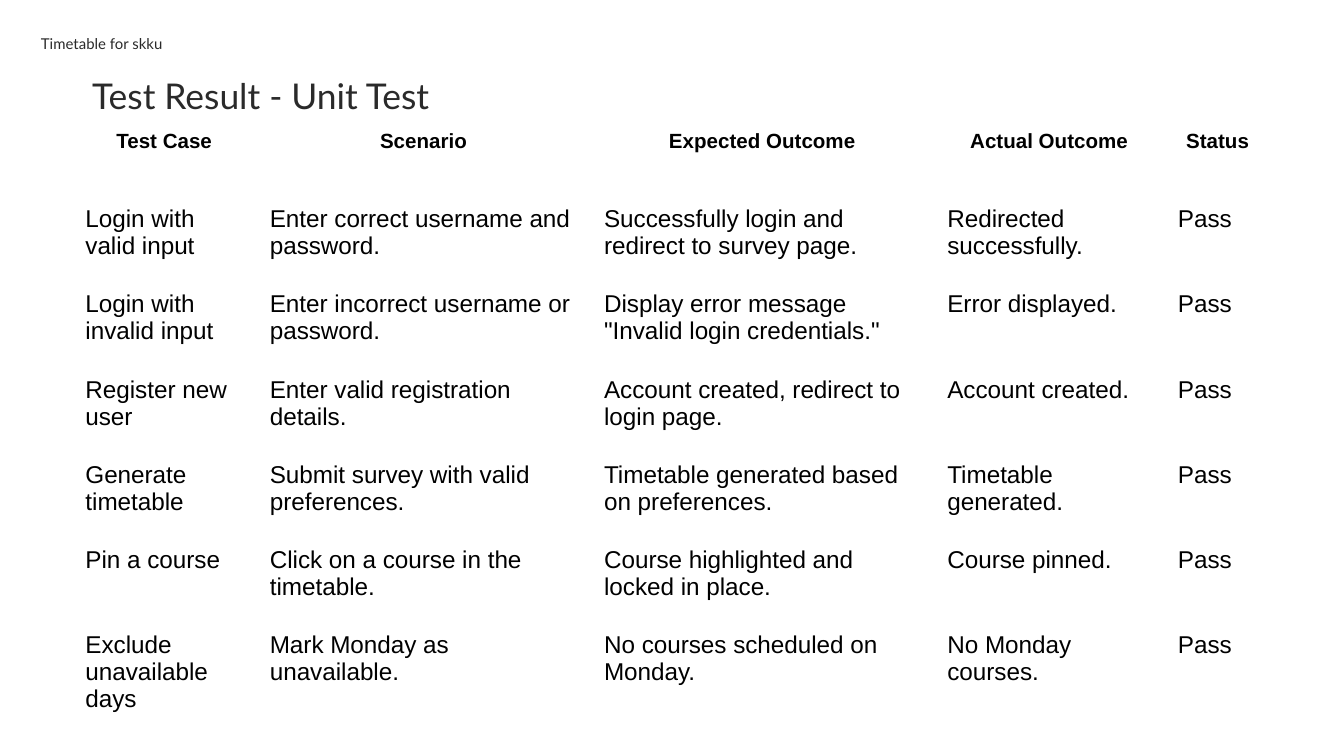
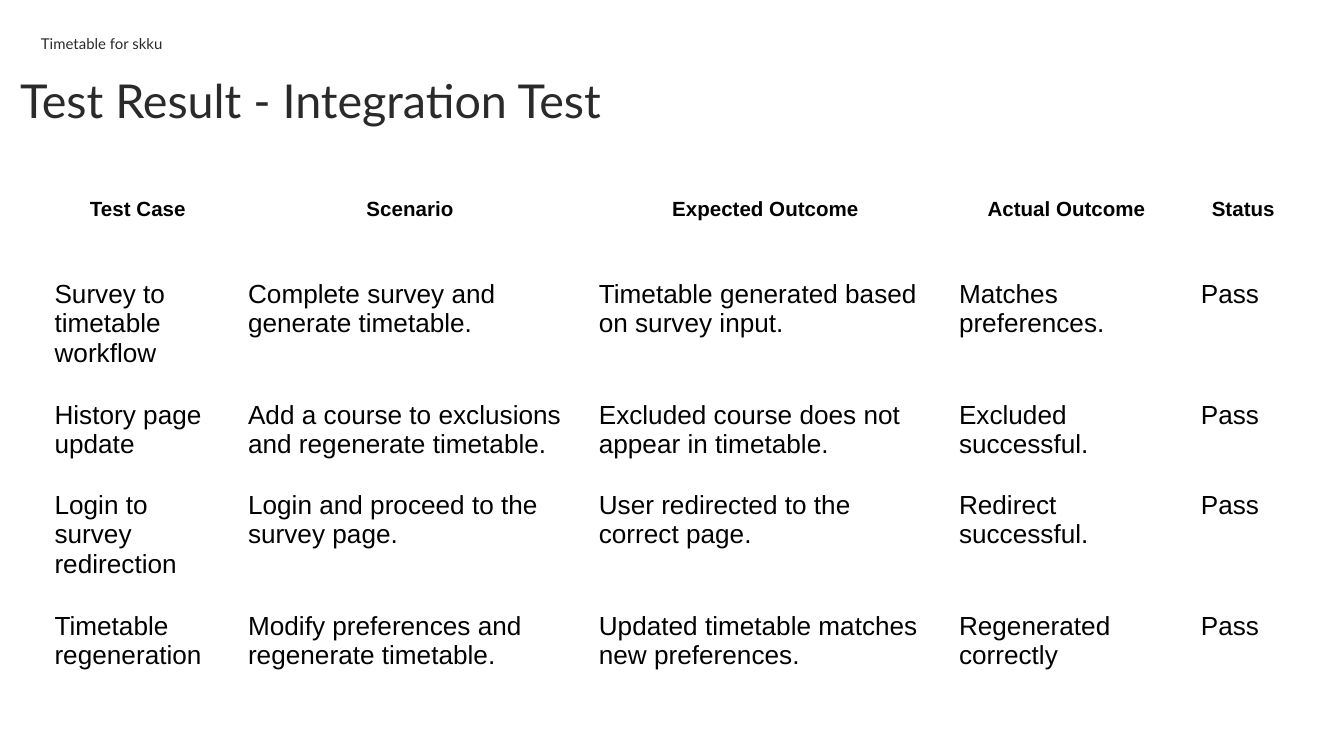
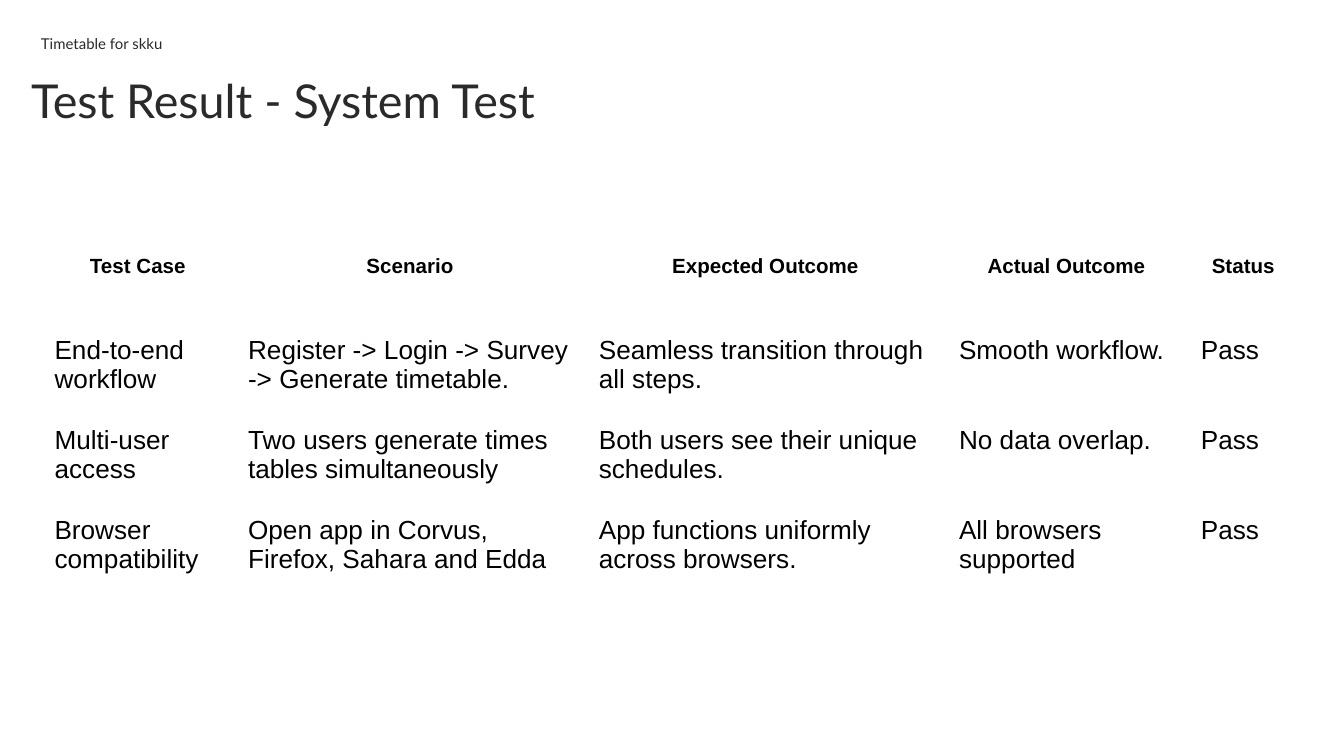
from pptx import Presentation
from pptx.dml.color import RGBColor
from pptx.enum.text import MSO_ANCHOR, PP_ALIGN
from pptx.util import Inches, Pt

HEADERS = ("Test Case", "Scenario", "Expected Outcome", "Actual Outcome", "Status")
COLUMN_WIDTHS = (14.4, 26.1, 26.8, 18, 8.3)

UNIT_TESTS = (
    ("Login with valid input", "Enter correct username and password.",
     "Successfully login and redirect to survey page.", "Redirected successfully."),
    ("Login with invalid input", "Enter incorrect username or password.",
     'Display error message "Invalid login credentials."', "Error displayed."),
    ("Register new user", "Enter valid registration details.",
     "Account created, redirect to login page.", "Account created."),
    ("Generate timetable", "Submit survey with valid preferences.",
     "Timetable generated based on preferences.", "Timetable generated."),
    ("Pin a course", "Click on a course in the timetable.",
     "Course highlighted and locked in place.", "Course pinned."),
    ("Exclude unavailable days", "Mark Monday as unavailable.",
     "No courses scheduled on Monday.", "No Monday courses."),
)
INTEGRATION_TESTS = (
    ("Survey to timetable workflow", "Complete survey and generate timetable.",
     "Timetable generated based on survey input.", "Matches preferences."),
    ("History page update", "Add a course to exclusions and regenerate timetable.",
     "Excluded course does not appear in timetable.", "Excluded successful."),
    ("Login to survey redirection", "Login and proceed to the survey page.",
     "User redirected to the correct page.", "Redirect successful."),
    ("Timetable regeneration", "Modify preferences and regenerate timetable.",
     "Updated timetable matches new preferences.", "Regenerated correctly"),
)
SYSTEM_TESTS = (
    ("End-to-end workflow", "Register -> Login -> Survey -> Generate timetable.",
     "Seamless transition through all steps.", "Smooth workflow."),
    ("Multi-user access", "Two users generate times tables simultaneously",
     "Both users see their unique schedules.", "No data overlap."),
    ("Browser compatibility", "Open app in Corvus, Firefox, Sahara and Edda",
     "App functions uniformly across browsers.", "All browsers supported"),
)


def rgb(value):
    """Turn a hex string into a colour."""
    return RGBColor.from_string(value)


class Deck:
    """Style and current slide, measured on a grid 100 square units wide."""

    INK = "2A2A2A"
    BLACK = "000000"
    FRAME = 32.8

    def __init__(self):
        """Open an empty widescreen presentation."""
        self.prs = Presentation()
        self.prs.slide_width = Inches(10)
        self.prs.slide_height = self.prs.slide_width * 9 // 16
        self.s = None

    def units(self, *lengths):
        """Convert grid units to slide lengths."""
        return [round(self.prs.slide_width * n / 100) for n in lengths]

    def style(self, p, size, font, color, bold=False, align=None, spacing=None):
        """Format a paragraph and its runs."""
        p.alignment, p.line_spacing = align, spacing
        for r in p.runs:
            r.font.size, r.font.name, r.font.bold = Pt(size), font, bold
            r.font.color.rgb = rgb(color)

    def text(self, box, text, size, bottom=0, **options):
        """Add a vertically centred text box."""
        tf = self.s.shapes.add_textbox(*self.units(*box)).text_frame
        tf.word_wrap = True
        tf.vertical_anchor = MSO_ANCHOR.MIDDLE
        tf.margin_left = tf.margin_right = tf.margin_top = 0
        tf.margin_bottom = self.units(bottom)[0]
        tf.text = text
        self.style(tf.paragraphs[0], size, "Lato", self.INK, **options)

    def slide(self, title, box, size, bottom):
        """Start a slide with its running header and title."""
        self.s = self.prs.slides.add_slide(self.prs.slide_layouts[6])
        self.text((3.05, 2.4, 24.7, 1.5), "Timetable for skku", 8, spacing=1.16)
        self.text(box, title, size, bottom, align=PP_ALIGN.CENTER, spacing=1.0)

    def results(self, left, top, width, tests, heights, size):
        """Add a table of passed tests."""
        rows = [HEADERS] + [(*test, "Pass") for test in tests]
        frame = self.s.shapes.add_table(
            len(rows), len(HEADERS), *self.units(left, top, width, sum(heights)))
        table = frame.table
        table.first_row = table.horz_banding = False
        scale = width / sum(COLUMN_WIDTHS)
        for column, share in zip(table.columns, COLUMN_WIDTHS):
            column.width = self.units(share * scale)[0]
        for i, (row, texts, height) in enumerate(zip(table.rows, rows, heights)):
            row.height = self.units(height)[0]
            for cell, text in zip(row.cells, texts):
                cell.fill.background()
                cell.margin_left = cell.margin_right = Inches(0.1)
                cell.margin_top = cell.margin_bottom = Inches(0.1)
                cell.text = text
                p = cell.text_frame.paragraphs[0]
                if i == 0:
                    self.style(p, 11, "Arial", self.BLACK, True, PP_ALIGN.CENTER, 1.15)
                else:
                    self.style(p, size, "Arial", self.BLACK)
        frame.width, frame.height = self.units(self.FRAME, self.FRAME)


def main():
    """Build the three test result slides."""
    deck = Deck()
    deck.slide("Test Result - Unit Test", (0, 3.8, 38.8, 7.1), 19, 0.5)
    deck.results(5.36, 8.4, 89.2, UNIT_TESTS, [5.9] + [6.3] * 5 + [8.5], 13)
    deck.slide("Test Result - Integration Test", (0, 4.6, 46.2, 7.1), 25, 1.5)
    deck.results(3.06, 13.5, 93.6, INTEGRATION_TESTS, [6.3] + [6.7] * 4, 14)
    deck.slide("Test Result - System Test", (1.65, 4.6, 38.8, 7.1), 25, 1.5)
    deck.results(3.06, 17.68, 93.6, SYSTEM_TESTS, [6.3] + [6.7] * 3, 14)
    deck.prs.save("out.pptx")


if __name__ == "__main__":
    main()
